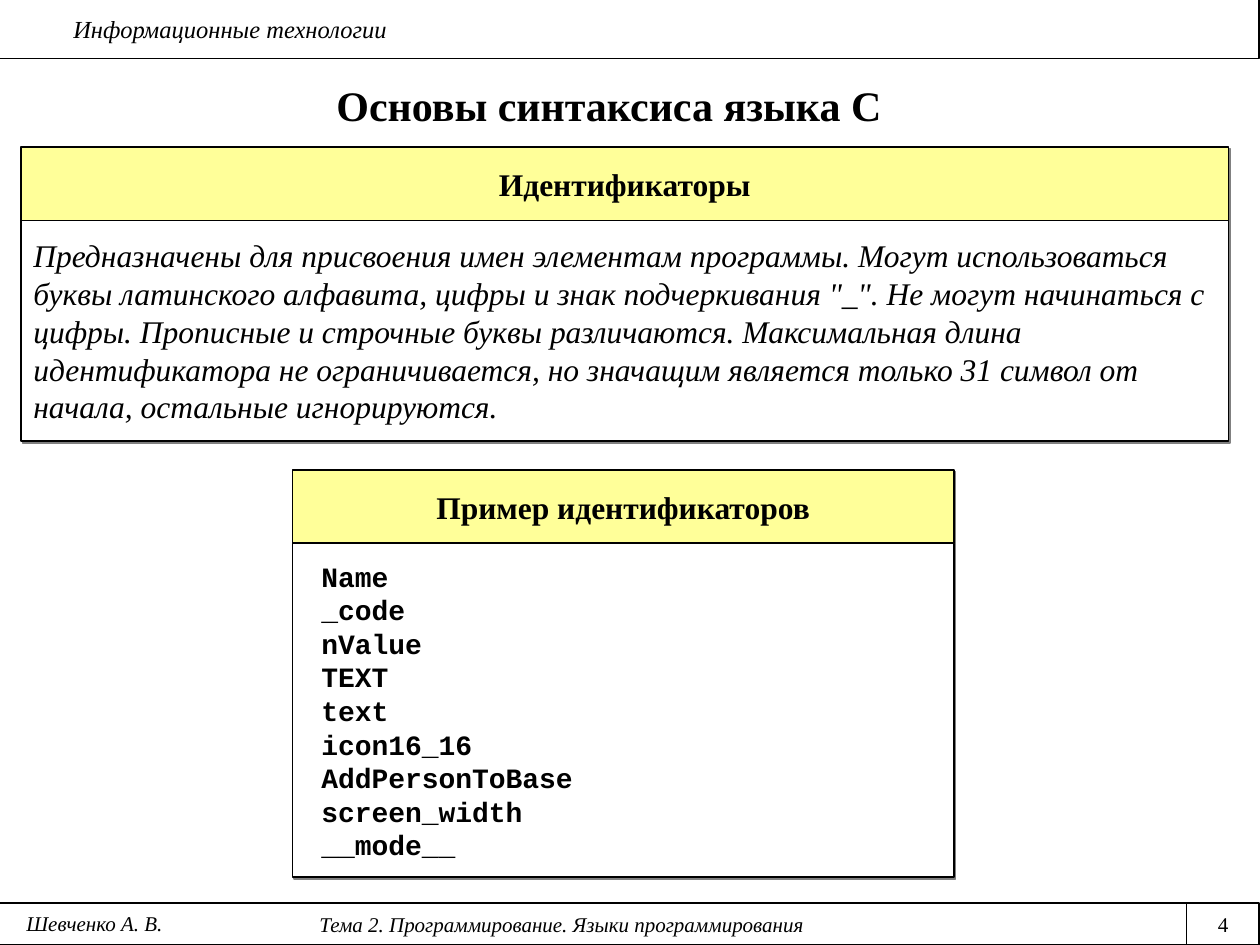
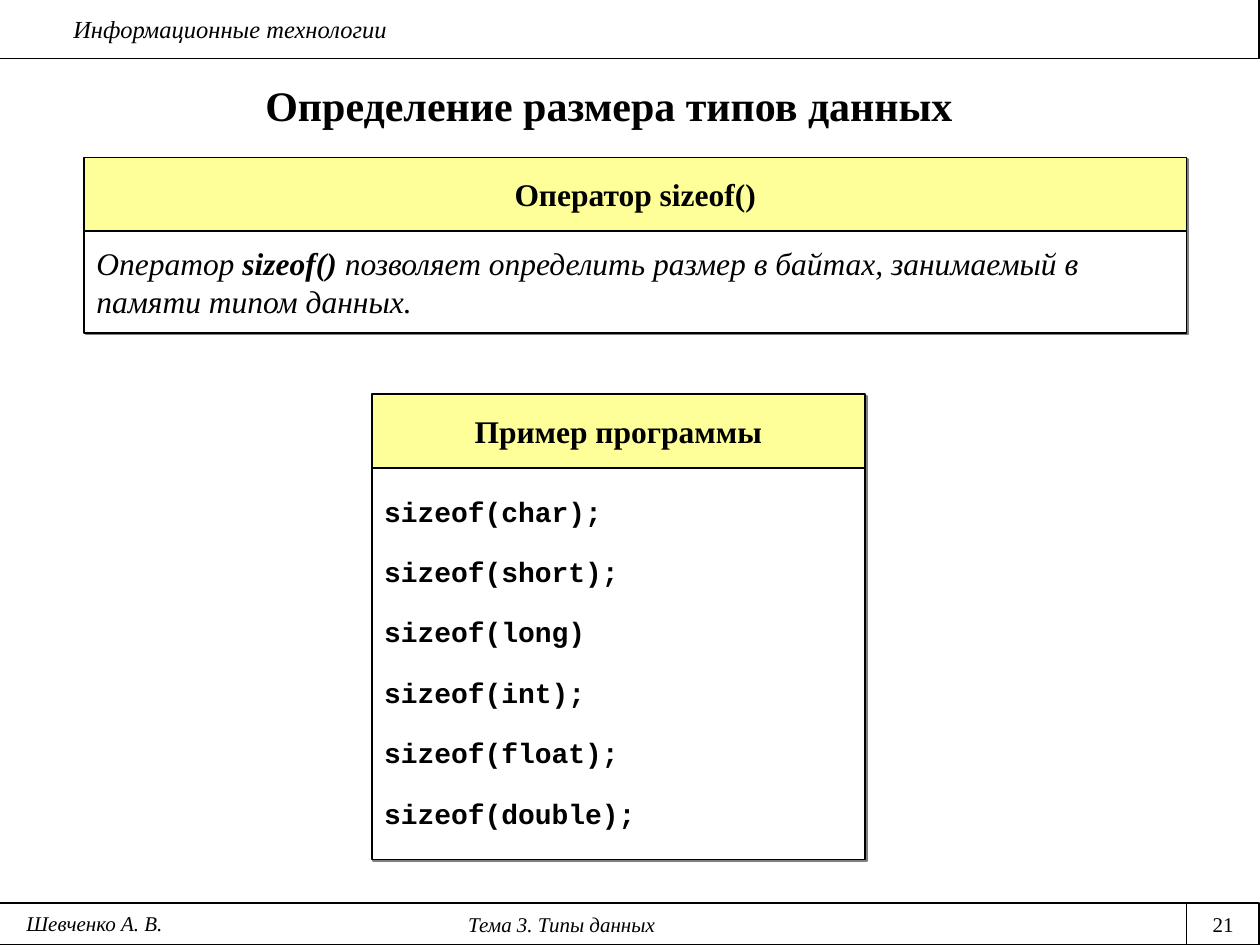
import pptx
import pptx.util
import pptx.dml.color
import pptx.enum.shapes
import pptx.enum.text
import pptx.oxml
import pptx.oxml.ns
import lxml.etree

COLORS = {"ink": "000000", "paper": "FFFFFF", "heading": "FFFF99", "shadow": "808080"}
SERIF, MONO = "Times New Roman", "Courier New"
COLS, ROWS = 120, 90
HEADING_ROWS = 7
LINE_FACTOR = 1.2
ALIGN = pptx.enum.text.PP_ALIGN
ANCHOR = pptx.enum.text.MSO_ANCHOR

prs = pptx.Presentation()
prs.slide_width = pptx.util.Inches(10)
prs.slide_height = pptx.util.Inches(7.5)


def grid(col, row, width, height):
    x, y = prs.slide_width / COLS, prs.slide_height / ROWS
    return int(col * x), int(row * y), int(width * x), int(height * y)


def rgb(name):
    return pptx.dml.color.RGBColor.from_string(COLORS[name])


def write(sp, paragraphs, size=18, font=SERIF, bold=False, italic=False,
          align=ALIGN.LEFT, anchor=ANCHOR.TOP, line=None, gap=0, indent=0):
    tf = sp.text_frame
    tf.word_wrap = True
    tf.vertical_anchor = anchor
    tf.margin_left = pptx.util.Inches(0.1 + indent)
    tf.margin_right = pptx.util.Inches(0.1)
    tf.margin_top = tf.margin_bottom = pptx.util.Inches(0.05)
    for i, runs in enumerate(paragraphs):
        p = tf.add_paragraph() if i else tf.paragraphs[0]
        p.alignment = align
        if line:
            p.line_spacing = pptx.util.Pt(line)
        if i and gap:
            p.space_before = pptx.util.Pt(gap)
        for text, strong in [(runs, bold)] if isinstance(runs, str) else runs:
            r = p.add_run()
            r.text = text
            r.font.name = font
            r.font.size = pptx.util.Pt(size)
            r.font.bold = strong
            r.font.italic = italic
            r.font.color.rgb = rgb("ink")


def label(s, box, text, **fmt):
    write(s.shapes.add_textbox(*grid(*box)), [text], **fmt)


def rect(s, box, fill="paper", weight=0.74):
    sp = s.shapes.add_shape(pptx.enum.shapes.MSO_SHAPE.RECTANGLE, *grid(*box))
    sp.shadow.inherit = False
    sp.fill.solid()
    sp.fill.fore_color.rgb = rgb(fill)
    sp.line.color.rgb = rgb("ink")
    sp.line.width = pptx.util.Pt(weight)
    return sp


def drop_shadow(sp):
    effects = sp._element.spPr.find(pptx.oxml.ns.qn("a:effectLst"))
    shadow = lxml.etree.SubElement(
        effects, pptx.oxml.ns.qn("a:outerShdw"),
        dist=str(pptx.util.Pt(1.4)), dir=str(45 * 60000), algn="ctr", rotWithShape="0")
    lxml.etree.SubElement(shadow, pptx.oxml.ns.qn("a:srgbClr"), val=COLORS["shadow"])


def divider(s, col, top, bottom):
    x, y1, _, y2 = grid(col, top, 0, bottom)
    ln = s.shapes.add_connector(pptx.enum.shapes.MSO_CONNECTOR.STRAIGHT, x, y1, x, y2)
    ln.line.color.rgb = rgb("ink")
    ln.line.width = pptx.util.Pt(0.74)
    lxml.etree.SubElement(ln._element.spPr, pptx.oxml.ns.qn("a:effectLst"))


def header(s, box):
    col, row, width, height = box
    rect(s, box)
    label(s, (col + 5.9, row + 0.85, width - 7, height - 1.5),
          "Информационные технологии", size=14, italic=True)


def footer(s, box, topic, number):
    col, row, width, height = box
    rect(s, box)
    small = dict(size=12, align=ALIGN.CENTER)
    label(s, (0, row + 0.25, 107, 3.6), topic, italic=True, **small)
    label(s, (113, row + 0.25, 7, 3.6), number, **small)
    divider(s, 113, row, row + height)
    label(s, (0, row + 0.1, 18, 3.6), "Шевченко А. В.", italic=True, **small)


def panel(s, box, heading, paragraphs, **fmt):
    col, row, width, height = box
    top = rect(s, (col, row, width, HEADING_ROWS), "heading", 0.99)
    body = rect(s, (col, row + HEADING_ROWS, width, height - HEADING_ROWS), weight=0.99)
    for sp in (top, body):
        drop_shadow(sp)
    write(top, [heading], bold=True, align=ALIGN.CENTER, anchor=ANCHOR.MIDDLE)
    write(body, paragraphs, anchor=ANCHOR.MIDDLE, **fmt)


def topic_slide(title, topic, number):
    s = prs.slides.add_slide(prs.slide_layouts[6])
    footer(s, (-0.1, 86, COLS, 4), topic, number)
    header(s, (-0.1, -0.1, COLS, 5.65))
    label(s, (3, 7, 110, 6), title, size=24, bold=True,
          align=ALIGN.CENTER, anchor=ANCHOR.MIDDLE)
    return s


prose = dict(italic=True, line=18 * LINE_FACTOR)
code = dict(size=16, font=MONO, bold=True)

s = topic_slide("Основы синтаксиса языка С",
                "Тема 2. Программирование. Языки программирования", "4")
panel(s, (2, 14, 115, 28), "Идентификаторы", [
    "Предназначены для присвоения имен элементам программы. Могут использоваться "
    "буквы латинского алфавита, цифры и знак подчеркивания \"_\". Не могут начинаться "
    "с цифры. Прописные и строчные буквы различаются. Максимальная длина "
    "идентификатора не ограничивается, но значащим является только 31 символ от "
    "начала, остальные игнорируются."], **prose)
names = ["Name", "_code", "nValue", "TEXT", "text", "icon16_16",
         "AddPersonToBase", "screen_width", "__mode__"]
panel(s, (27.85, 44.75, 63, 38.8), "Пример идентификаторов", names,
      line=16 * LINE_FACTOR, indent=0.13, **code)

s = topic_slide("Определение размера типов данных", "Тема 3. Типы данных", "21")
panel(s, (8, 15, 105, 16.7), "Оператор sizeof()", [[
    ("Оператор ", False), ("sizeof() ", True),
    ("позволяет определить размер в байтах, занимаемый в памяти типом данных.", False)]],
    **prose)
calls = ["sizeof(char);", "sizeof(short);", "sizeof(long)", "sizeof(int);",
         "sizeof(float);", "sizeof(double);"]
panel(s, (35.4, 37.55, 47, 44.3), "Пример программы", calls,
      line=17.25, gap=17.25, **code)

prs.save("out.pptx")
